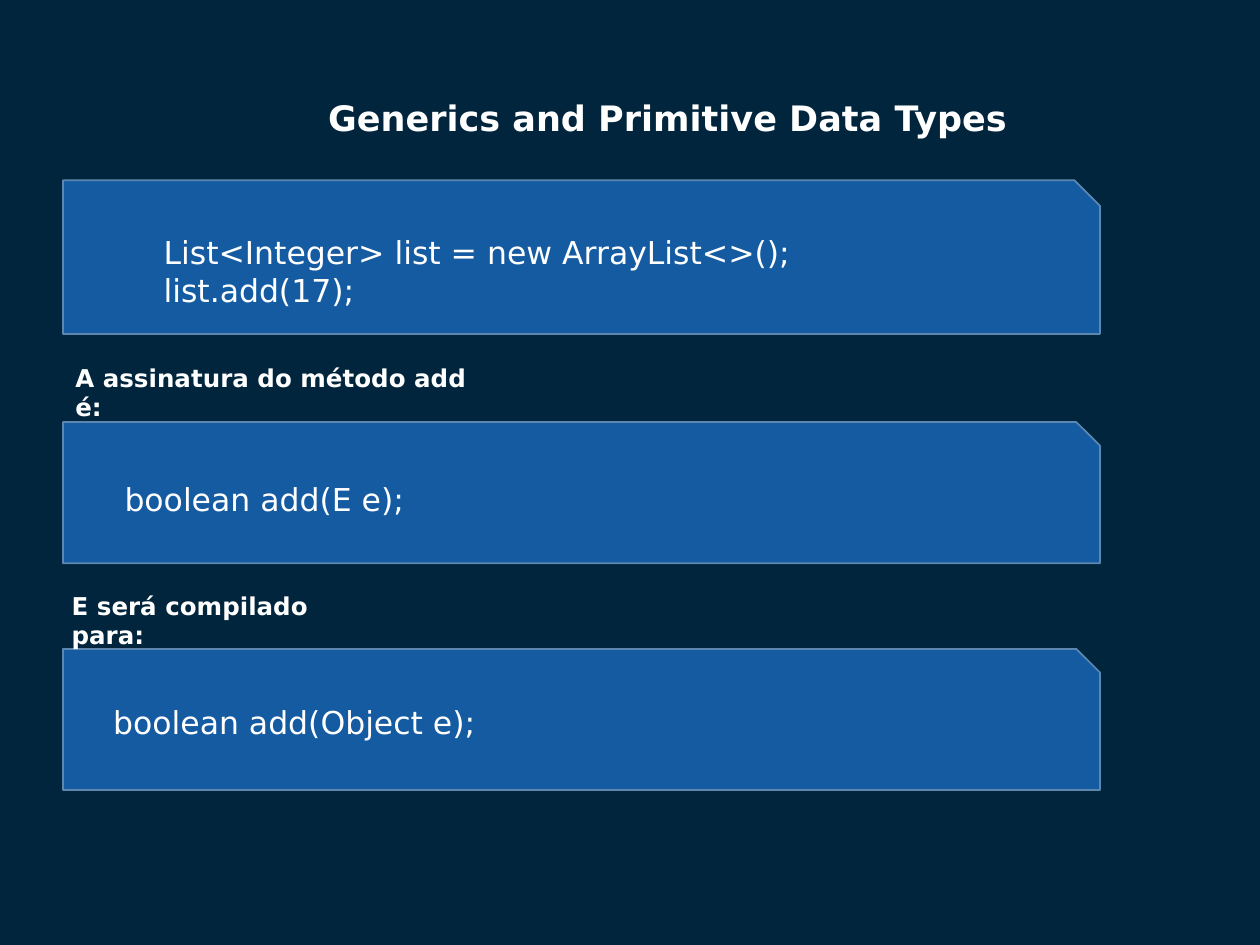
"""Build a slide on generics and primitive data types."""
from pptx import Presentation
from pptx import util as u
from pptx.dml.color import RGBColor
from pptx.enum import shapes, text

THEME = {
    "font": "DejaVu Sans",
    "background": "00253C", "panel": "145BA2", "edge": "5C87B1", "text": "FFFFFF",
    "title": 20, "label": 14, "code": 18,
}
TITLE = "Generics and Primitive Data Types"
PANEL_LEFT, PANEL_WIDTH = 0.5, 8.23
PANELS = [(1.43, 1.22), (3.35, 1.12), (5.15, 1.12)]
LABELS = [
    ("A assinatura do método add é:", (0.5, 2.83, 3.57, 0.34)),
    ("E será compilado para:", (0.47, 4.64, 2.71, 0.34)),
]
CODES = [
    ("List<Integer> list = new ArrayList<>();\nlist.add(17);", (1.2, 1.8, 5.25, 0.71)),
    ("boolean add(E e);", (0.89, 3.76, 2.5, 0.4)),
    ("boolean add(Object e);", (0.8, 5.53, 3.15, 0.4)),
]


def color(name):
    return RGBColor.from_string(THEME[name])


def write(box, content, role):
    frame = box.text_frame
    frame.text = content
    frame.word_wrap = True
    frame.auto_size = text.MSO_AUTO_SIZE.SHAPE_TO_FIT_TEXT
    for para in frame.paragraphs:
        for span in para.runs:
            span.font.name = THEME["font"]
            span.font.size = u.Pt(THEME[role])
            span.font.bold = role != "code"
            span.font.color.rgb = color("text")


def add_title(page):
    box = page.shapes.title
    box.left, box.top, box.width, box.height = map(u.Inches, (0.5, 0.75, 9, 0.35))
    write(box, TITLE, "title")
    frame = box.text_frame
    frame.margin_left = frame.margin_right = frame.margin_bottom = 0
    frame.margin_top = u.Inches(0.01)
    frame.vertical_anchor = text.MSO_ANCHOR.MIDDLE
    para = frame.paragraphs[0]
    para.alignment = text.PP_ALIGN.CENTER
    para.space_before = u.Pt(1.1)
    properties = para._p.get_or_add_pPr()
    properties.set("marL", str(u.Inches(1.83)))
    properties.set("indent", str(u.Inches(-1.23)))


def add_panel(page, top, height):
    panel = page.shapes.add_shape(
        shapes.MSO_SHAPE.SNIP_1_RECTANGLE,
        *map(u.Inches, (PANEL_LEFT, top, PANEL_WIDTH, height)))
    panel.shadow.inherit = False
    panel.fill.solid()
    panel.fill.fore_color.rgb = color("panel")
    panel.line.color.rgb = color("edge")
    panel.line.width = u.Pt(1)


def main():
    deck = Presentation()
    deck.slide_width, deck.slide_height = u.Inches(10), u.Inches(7.5)
    page = deck.slides.add_slide(deck.slide_layouts[5])
    page.background.fill.solid()
    page.background.fill.fore_color.rgb = color("background")
    add_title(page)
    for top, height in PANELS:
        add_panel(page, top, height)
    for role, items in (("label", LABELS), ("code", CODES)):
        for content, place in items:
            box = page.shapes.add_textbox(*map(u.Inches, place))
            write(box, content, role)
    deck.save("out.pptx")


if __name__ == "__main__":
    main()
